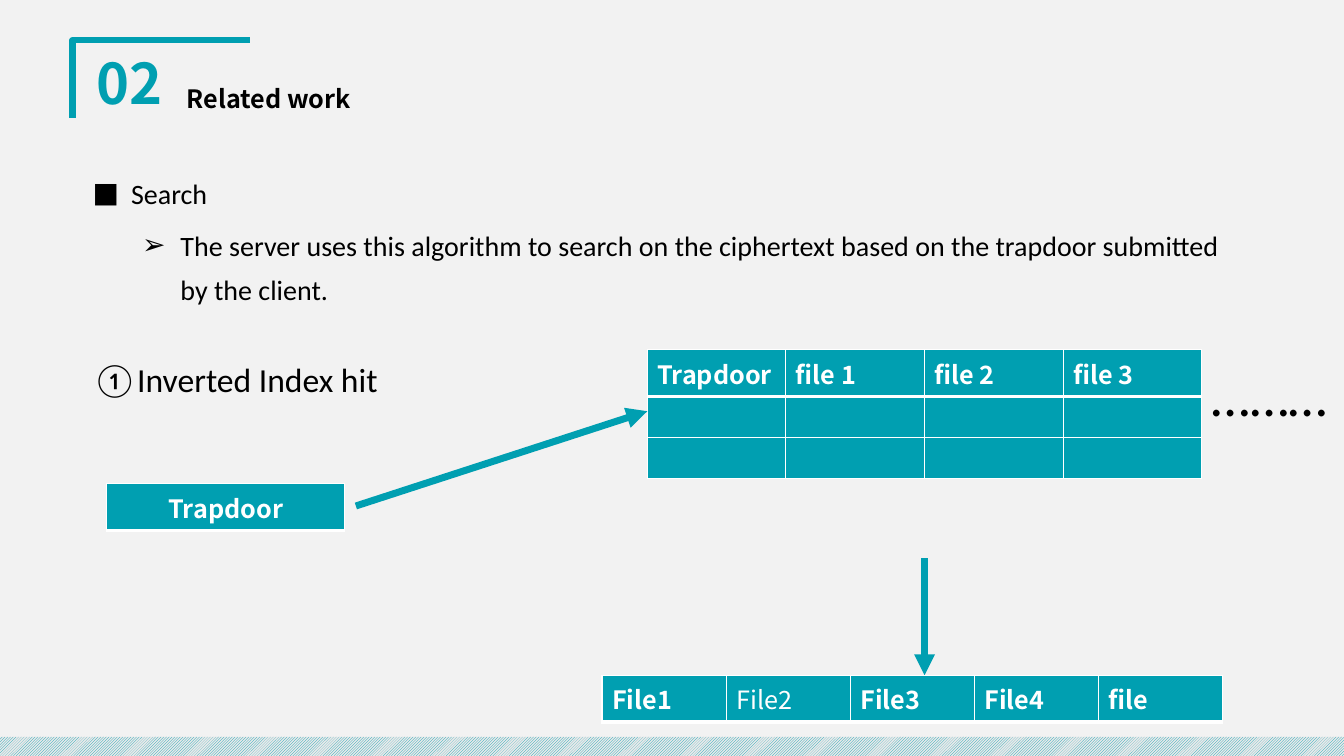
from lxml.etree import SubElement
from pptx import Presentation
from pptx.dml.color import RGBColor
from pptx.enum.dml import MSO_PATTERN
from pptx.enum.shapes import MSO_CONNECTOR, MSO_SHAPE
from pptx.enum.text import MSO_ANCHOR, MSO_AUTO_SIZE, PP_ALIGN
from pptx.oxml.ns import qn
from pptx.util import Inches, Pt

TEAL = RGBColor(0x00, 0x9F, 0xB1)
WHITE = RGBColor(0xFF, 0xFF, 0xFF)
BLACK = RGBColor(0x00, 0x00, 0x00)
PAPER = RGBColor(0xF2, 0xF2, 0xF2)
STRIPE_GAP = RGBColor(0xE9, 0xE9, 0xE9)

SLIDE_WIDTH, SLIDE_HEIGHT = Inches(13.33), Inches(7.5)
ROW_HEIGHT = 5.42

HEADING = {"name": "Noto Sans CJK SC", "size": Pt(18), "bold": True}
READING = {"name": "Calibri", "size": Pt(20), "bold": False}
NUMBER = {**HEADING, "size": Pt(40)}
STEP = {**READING, "size": Pt(24)}
DOTS = {**READING, "size": Pt(40)}
TIGHT = {"line_spacing": 0.9, "space_before": Pt(0)}
LOOSE = {"line_spacing": 1.3, "space_before": Pt(0)}


def across(percent):
    return round(SLIDE_WIDTH * percent / 100)


def down(percent):
    return round(SLIDE_HEIGHT * percent / 100)


def frame(left, top, width, height):
    """Turn percentages of the slide into left, top, width, height."""
    return across(left), down(top), across(width), down(height)


def apply(target, values):
    for attribute, value in values.items():
        setattr(target, attribute, value)


def write(paragraph, text, font, color, layout):
    apply(paragraph, layout)
    run = paragraph.add_run()
    run.text = text
    apply(run.font, font)
    run.font.color.rgb = color


def prepare(text_frame, anchor):
    apply(text_frame, {"word_wrap": True, "auto_size": MSO_AUTO_SIZE.NONE,
                       "vertical_anchor": anchor})


def add_label(slide, box, text, font, color, layout, anchor=MSO_ANCHOR.TOP):
    label = slide.shapes.add_textbox(*frame(*box)).text_frame
    prepare(label, anchor)
    write(label.paragraphs[0], text, font, color, layout)


def fill_title(slide, box, text):
    title = slide.shapes.title
    apply(title, dict(zip(("left", "top", "width", "height"), frame(*box))))
    prepare(title.text_frame, MSO_ANCHOR.MIDDLE)
    write(title.text_frame.paragraphs[0], text, HEADING, BLACK,
          {**TIGHT, "alignment": PP_ALIGN.LEFT})


def fill_outline(slide, box, points):
    """Write (level, bullet, indent, text) points into the body placeholder."""
    outline = slide.placeholders[1]
    apply(outline, dict(zip(("left", "top", "width", "height"), frame(*box))))
    body = outline.text_frame
    prepare(body, MSO_ANCHOR.TOP)
    for index, (level, bullet, indent, text) in enumerate(points):
        paragraph = body.add_paragraph() if index else body.paragraphs[0]
        properties = paragraph._p.get_or_add_pPr()
        properties.set("marL", str(Inches(indent)))
        properties.set("indent", str(Inches(-0.38)))
        SubElement(properties, qn("a:buFont")).set("typeface", READING["name"])
        SubElement(properties, qn("a:buChar")).set("char", bullet)
        spacing = {**LOOSE, "space_before": Pt(6 if index else 0)}
        write(paragraph, text, READING, BLACK, {**spacing, "level": level})


def border_cell(cell, widths):
    """Draw white borders; widths maps the sides L, R, T, B to points."""
    properties = cell._tc.get_or_add_tcPr()
    for side, width in widths.items():
        line = SubElement(properties, qn(f"a:ln{side}"), w=str(Pt(width)))
        paint = SubElement(line, qn("a:solidFill"))
        SubElement(paint, qn("a:srgbClr"), val=str(WHITE))


def add_grid(slide, left, top, width, headings, rows=1,
             alignment=PP_ALIGN.LEFT, regular=()):
    """Add a teal table whose first row holds the headings."""
    box = frame(left, top, width, ROW_HEIGHT * rows)
    table = slide.shapes.add_table(rows, len(headings), *box).table
    for column in table.columns:
        column.width = round(box[2] / len(headings))
    for index, row in enumerate(table.rows):
        row.height = down(ROW_HEIGHT)
        widths = {"L": 1, "R": 1, "T": 3 if index == 1 else 1,
                  "B": 3 if index == 0 else 1}
        for cell in row.cells:
            border_cell(cell, widths)
            cell.fill.solid()
            cell.fill.fore_color.rgb = TEAL
    for cell, heading in zip(table.rows[0].cells, headings):
        font = {**HEADING, "bold": heading not in regular}
        write(cell.text_frame.paragraphs[0], heading, font, WHITE,
              {"alignment": alignment})


def add_arrow(slide, start, end):
    arrow = slide.shapes.add_connector(
        MSO_CONNECTOR.STRAIGHT, across(start[0]), down(start[1]),
        across(end[0]), down(end[1]))
    arrow.line.color.rgb = TEAL
    arrow.line.width = Pt(5)
    SubElement(arrow.line._get_or_add_ln(), qn("a:tailEnd"), type="triangle")
    SubElement(arrow._element.spPr, qn("a:effectLst"))


def add_bracket(slide, left, top, right, bottom):
    builder = slide.shapes.build_freeform(across(left), down(bottom))
    builder.add_line_segments([(across(left), down(top)),
                               (across(right), down(top))], close=False)
    bracket = builder.convert_to_shape()
    bracket.shadow.inherit = False
    bracket.fill.background()
    bracket.line.color.rgb = TEAL
    bracket.line.width = Pt(4.5)


def add_footer_strip(slide, top):
    strip = slide.shapes.add_shape(MSO_SHAPE.RECTANGLE,
                                   *frame(0, top, 100, 100 - top))
    strip.shadow.inherit = False
    strip.line.fill.background()
    strip.fill.patterned()
    strip.fill.pattern = MSO_PATTERN.LIGHT_UPWARD_DIAGONAL
    strip.fill.fore_color.rgb = TEAL
    strip.fill.back_color.rgb = STRIPE_GAP


def main():
    deck = Presentation()
    apply(deck, {"slide_width": SLIDE_WIDTH, "slide_height": SLIDE_HEIGHT})
    slide = deck.slides.add_slide(deck.slide_layouts[1])
    slide.background.fill.solid()
    slide.background.fill.fore_color.rgb = PAPER

    add_bracket(slide, 5.4, 5.33, 18.6, 15.6)
    add_footer_strip(slide, 97.47)
    add_label(slide, (6.15, 6.53, 6.98, 9.73), "02", NUMBER, TEAL,
              {**TIGHT, "alignment": PP_ALIGN.CENTER}, MSO_ANCHOR.MIDDLE)
    fill_title(slide, (13.13, 10.4, 20.03, 5.87), "Related work")
    fill_outline(slide, (6.15, 21.33, 87.17, 19.47), [
        (0, "■", 0.38, "Search"),
        (1, "➢", 0.87, "The server uses this algorithm to search on the "
         "ciphertext based on the trapdoor submitted by the client."),
    ])
    add_label(slide, (6.15, 45.2, 27, 7.73), "①Inverted Index hit",
              STEP, BLACK, LOOSE)
    add_grid(slide, 48.16, 46.27, 41.26,
             ["Trapdoor", "file 1", "file 2", "file 3"], rows=3)
    add_label(slide, (89.42, 44.4, 10.58, 12.13), "………", DOTS, BLACK, LOOSE)
    add_grid(slide, 7.95, 64, 17.7, ["Trapdoor"], alignment=PP_ALIGN.CENTER)
    add_arrow(slide, (26.48, 66.93), (48.16, 54.4))
    add_arrow(slide, (68.79, 73.87), (68.79, 89.33))
    add_grid(slide, 44.79, 89.33, 46.2,
             ["File1", "File2", "File3", "File4", "file"], regular=("File2",))
    deck.save("out.pptx")


if __name__ == "__main__":
    main()
